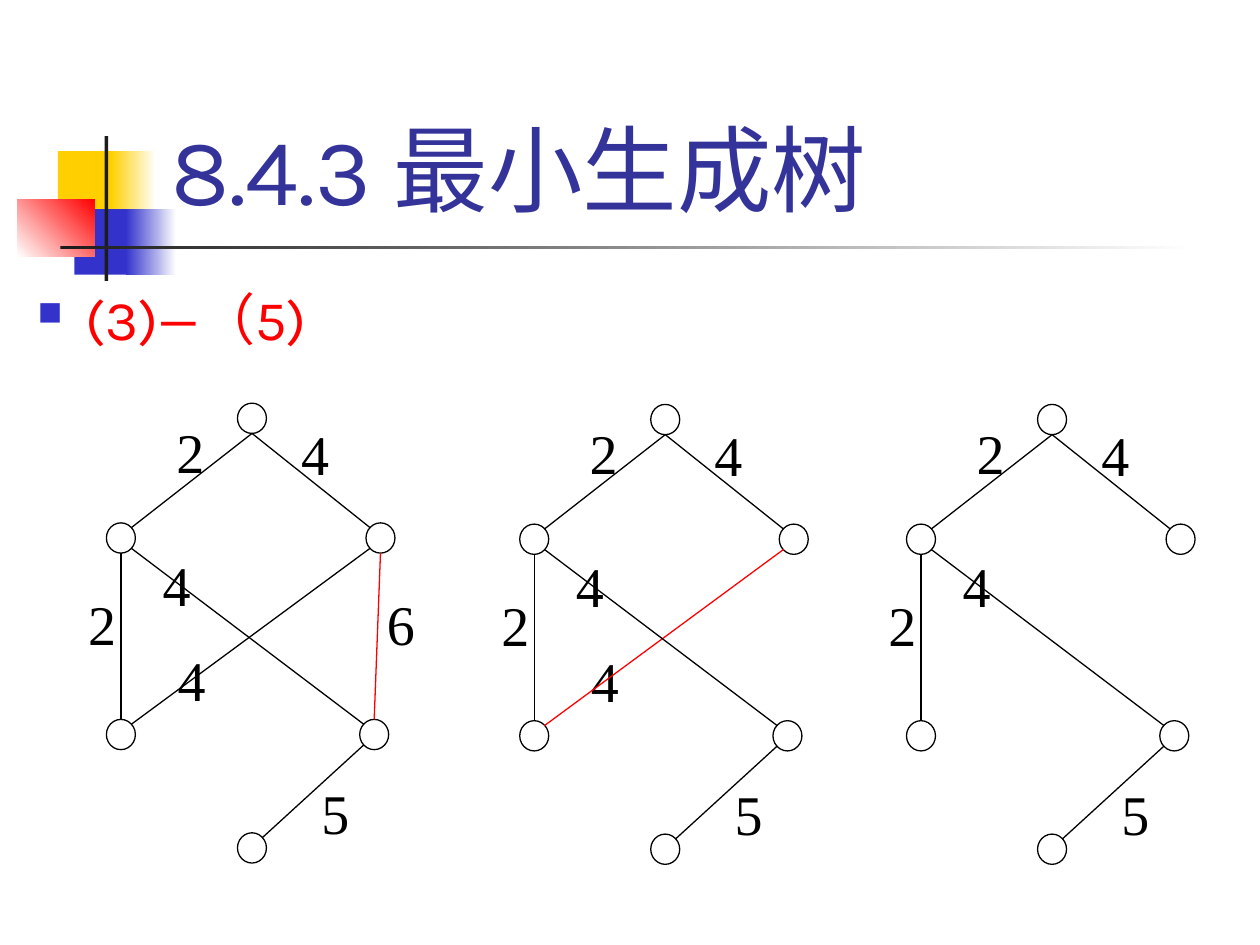
"""Build the slide on successive steps towards a minimum spanning tree."""
import pptx
import pptx.dml.color
import pptx.enum.shapes
import pptx.enum.text
import pptx.oxml
import pptx.oxml.ns
import pptx.util

COLORS = {
    "white": "FFFFFF", "black": "000000", "red": "FF0000", "yellow": "FFCF01",
    "blue": "3333CC", "title": "333399", "charcoal": "1C1C1C",
}
SHAPES = pptx.enum.shapes.MSO_SHAPE

presentation = pptx.Presentation()
presentation.slide_width = pptx.util.Inches(10)
presentation.slide_height = pptx.util.Inches(7.5)
slide = presentation.slides.add_slide(presentation.slide_layouts[6])
column = presentation.slide_width / 10
row = presentation.slide_height / 7.5


def rgb(name):
    return pptx.dml.color.RGBColor.from_string(COLORS[name])


def add_filled(kind, left, top, width, height, fill, outline=None):
    shape = slide.shapes.add_shape(
        kind, int(left * column), int(top * row), int(width * column), int(height * row))
    shape.shadow.inherit = False
    if isinstance(fill, tuple):
        start, end, angle = fill
        shape.fill.gradient()
        shape.fill.gradient_angle = angle
        for stop, name in zip(shape.fill.gradient_stops, (start, end)):
            stop.color.rgb = rgb(name)
    else:
        shape.fill.solid()
        shape.fill.fore_color.rgb = rgb(fill)
    if outline:
        shape.line.color.rgb = rgb(outline)
        shape.line.width = pptx.util.Pt(0.75)
    else:
        shape.line.fill.background()
    return shape


decorations = [
    (0.46, 1.2, 0.48, 0.52, "yellow"),
    (0.88, 1.2, 0.36, 0.52, ("yellow", "white", 0)),
    (0.59, 1.66, 0.46, 0.52, "blue"),
    (1, 1.66, 0.4, 0.52, ("blue", "white", 0)),
    (0.14, 1.58, 0.61, 0.46, ("white", "red", 45)),
    (0.83, 1.08, 0.03, 1.15, "charcoal"),
    (0.48, 1.95, 9, 0.03, ("charcoal", "white", 0)),
]
for decoration in decorations:
    add_filled(SHAPES.RECTANGLE, *decoration)

headings = [
    ("8.4.3 最小生成树", 1.26, 0.23, 8.52, 1.6, 54, "title", "BOTTOM"),
    ("(3)—（5)", 0.2, 1.94, 9.8, 5.56, 32, "red", "TOP"),
]
for text, left, top, width, height, size, color, anchor in headings:
    box = slide.shapes.add_textbox(
        int(left * column), int(top * row), int(width * column), int(height * row))
    box.text_frame.word_wrap = True
    box.text_frame.vertical_anchor = pptx.enum.text.MSO_ANCHOR[anchor]
    box.text_frame.text = text
    paragraph = box.text_frame.paragraphs[0]
    font = paragraph.runs[0].font
    font.name = "Karla"
    font.size = pptx.util.Pt(size)
    font.color.rgb = rgb(color)

paragraph.line_spacing = 1.5
properties = paragraph._p.get_or_add_pPr()
properties.set("marL", str(int(0.38 * column)))
properties.set("indent", str(int(-0.38 * column)))
namespace = pptx.oxml.ns.nsdecls("a")
for bullet_part in (
    f'<a:buClr {namespace}><a:srgbClr val="{COLORS["blue"]}"/></a:buClr>',
    f'<a:buSzPct {namespace} val="60000"/>',
    f'<a:buFont {namespace} typeface="Wingdings"/>',
    f'<a:buChar {namespace} char="n"/>',
):
    properties.append(pptx.oxml.parse_xml(bullet_part))

nodes = {
    "top": (2, 3.32), "left": (0.96, 4.27), "right": (3.02, 4.27),
    "lower left": (0.96, 5.83), "lower right": (2.97, 5.83), "bottom": (2, 6.73),
}
node_width, node_height = 0.23, 0.24
sites = {
    "N": (0, -0.12), "S": (0, 0.12), "NW": (-0.08, -0.08), "NE": (0.08, -0.08),
    "SW": (-0.08, 0.08), "SE": (0.08, 0.08),
}
edges = [
    ("right", "S", "lower right", "N", "6", 2.95, 4.62, 0.77, 0),
    ("lower right", "SW", "bottom", "NE", "5", 2.43, 6.12, 0.73, 2),
    ("left", "S", "lower left", "N", "2", 0.58, 4.62, 0.74, 2),
    ("top", "S", "left", "NE", "2", 1.28, 3.25, 0.75, 2),
    ("top", "S", "right", "NW", "4", 2.27, 3.27, 0.71, 2),
    ("right", "SW", "lower left", "NE", "4", 1.29, 5.06, 0.75, 1),
    ("left", "SE", "lower right", "NW", "4", 1.17, 4.31, 0.65, 2),
]
graph_offsets = [(0, 0), (3.28, 0.01), (6.35, 0.01)]
final_graph = len(graph_offsets) - 1

for graph, (shift_x, shift_y) in enumerate(graph_offsets):
    present_edges = [edge for edge in edges if edge[-1] >= graph]

    for *_, weight, left, top, width, last_graph in present_edges:
        label = add_filled(SHAPES.RECTANGLE, left + shift_x, top + shift_y,
                           width, 0.85, "white", "white")
        frame = label.text_frame
        frame.word_wrap = True
        frame.vertical_anchor = pptx.enum.text.MSO_ANCHOR.TOP
        frame.margin_left = frame.margin_right = int(0.12 * column)
        frame.margin_top = frame.margin_bottom = int(0.06 * row)
        frame.text = weight
        paragraph = frame.paragraphs[0]
        paragraph.alignment = pptx.enum.text.PP_ALIGN.LEFT
        font = paragraph.runs[0].font
        font.name = "Times New Roman"
        font.size = pptx.util.Pt(32)
        font.color.rgb = rgb("black")

    for center_x, center_y in nodes.values():
        add_filled(SHAPES.OVAL, center_x + shift_x - node_width / 2,
                   center_y + shift_y - node_height / 2,
                   node_width, node_height, "white", "black")

    for start, start_site, end, end_site, *_, last_graph in present_edges:
        points = []
        for node, site in ((start, start_site), (end, end_site)):
            points.append(int((nodes[node][0] + sites[site][0] + shift_x) * column))
            points.append(int((nodes[node][1] + sites[site][1] + shift_y) * row))
        connector = slide.shapes.add_connector(
            pptx.enum.shapes.MSO_CONNECTOR.STRAIGHT, *points)
        removed_next = last_graph == graph and graph < final_graph
        connector.line.color.rgb = rgb("red" if removed_next else "black")
        connector.line.width = pptx.util.Pt(0.75)
        connector._element.spPr.append(
            pptx.oxml.parse_xml(f"<a:effectLst {namespace}/>"))

presentation.save("out.pptx")
